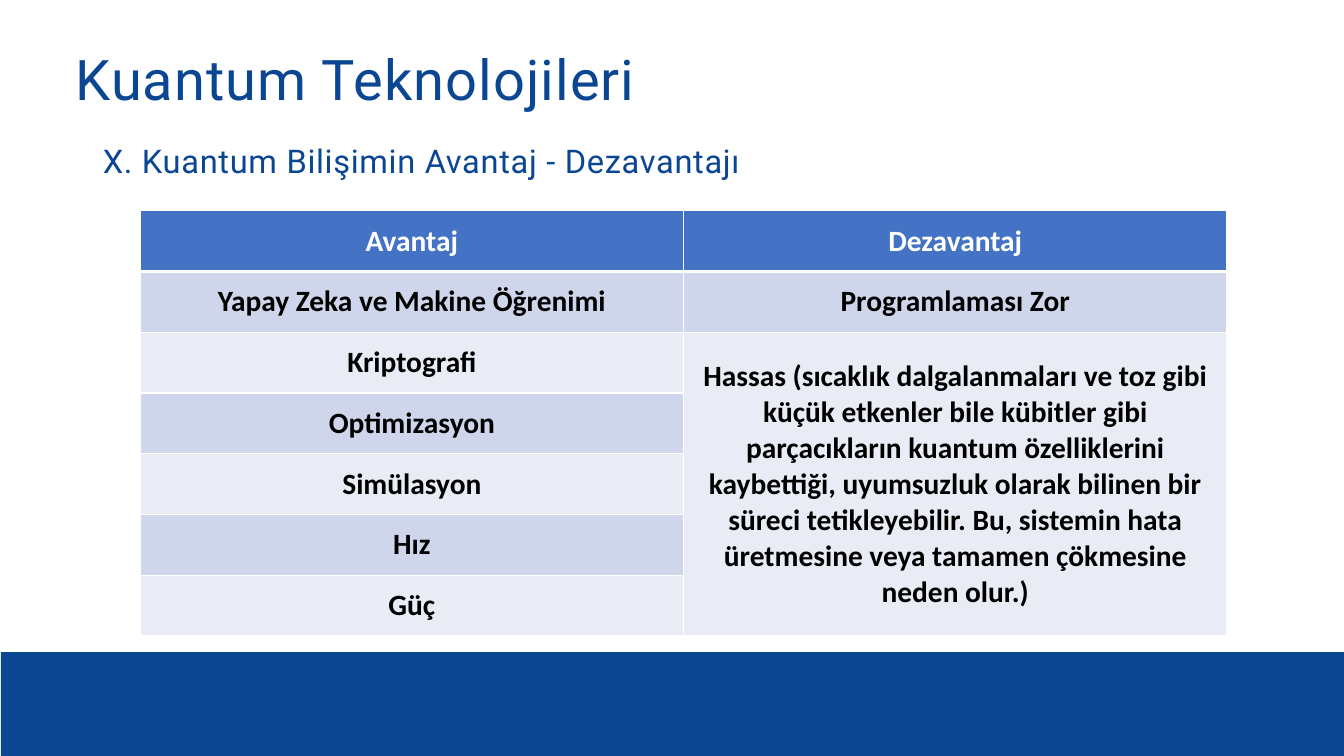
"""Builds the slide on the advantages and disadvantages of quantum computing."""
from lxml.etree import SubElement
from pptx import Presentation
from pptx.dml.color import RGBColor
from pptx.enum.shapes import MSO_SHAPE
from pptx.enum.text import MSO_ANCHOR, PP_ALIGN
from pptx.oxml import parse_xml
from pptx.oxml.ns import nsdecls, qn
from pptx.util import Inches, Pt

THEME = {
    "navy": RGBColor.from_string("0B4693"),
    "header": RGBColor.from_string("4472C4"),
    "bands": [RGBColor.from_string("E9EBF5"), RGBColor.from_string("CFD5EA")],
    "white": RGBColor.from_string("FFFFFF"),
    "black": RGBColor.from_string("000000"),
    "heading_font": "Roboto",
    "table_font": "Calibri",
    "title_size": Pt(40),
    "subtitle_size": Pt(23.3),
    "table_size": Pt(21),
}
ADVANTAGES = ["Avantaj", "Yapay Zeka ve Makine Öğrenimi", "Kriptografi",
              "Optimizasyon", "Simülasyon", "Hız", "Güç"]
DISADVANTAGES = [
    "Dezavantaj", "Programlaması Zor",
    "Hassas (sıcaklık dalgalanmaları ve toz gibi küçük etkenler bile kübitler "
    "gibi parçacıkların kuantum özelliklerini kaybettiği, uyumsuzluk olarak "
    "bilinen bir süreci tetikleyebilir. Bu, sistemin hata üretmesine veya "
    "tamamen çökmesine neden olur.)",
]


def style_font(font, name, size, color, bold=False):
    font.name, font.size, font.bold = name, size, bold
    font.color.rgb = color


def add_border(cell, edge, width):
    line = SubElement(cell._tc.get_or_add_tcPr(), qn(f"a:{edge}"), w=str(Pt(width)))
    line.append(parse_xml(f'<a:solidFill {nsdecls("a")}>'
                          f'<a:srgbClr val="{THEME["white"]}"/></a:solidFill>'))


prs = Presentation()
prs.slide_width, prs.slide_height = Inches(13.33), Inches(7.5)
W, H = prs.slide_width, prs.slide_height
slide = prs.slides.add_slide(prs.slide_layouts[6])

footer_top = Inches(6.47)
footer = slide.shapes.add_shape(MSO_SHAPE.RECTANGLE, Inches(0.01), footer_top, W, H - footer_top)
footer.shadow.inherit = False
footer.fill.solid()
footer.fill.fore_color.rgb = THEME["navy"]
footer.line.fill.background()

headings = [
    ("Kuantum Teknolojileri", (0.75, 0.28, 11.97, 0.77), THEME["title_size"], 60, 80),
    ("X. Kuantum Bilişimin Avantaj - Dezavantajı", (1.02, 1.3, 7.24, 0.45),
     THEME["subtitle_size"], 35, 50),
]
for wording, place, size, leading, tracking in headings:
    heading = slide.shapes.add_textbox(*map(Inches, place)).text_frame
    heading.word_wrap = True
    heading.margin_left = heading.margin_right = heading.margin_top = heading.margin_bottom = 0
    heading.text = wording
    line = heading.paragraphs[0]
    line.line_spacing = Pt(leading)
    style_font(line.runs[0].font, THEME["heading_font"], size, THEME["navy"])
    line.runs[0].font._element.set("spc", str(tracking))

row_count = len(ADVANTAGES)
comparison = slide.shapes.add_table(
    row_count, 2, Inches(1.39), Inches(2.09), Inches(10.78), Inches(4.22)).table
comparison.cell(2, 1).merge(comparison.cell(row_count - 1, 1))

for column, entries in enumerate([ADVANTAGES, DISADVANTAGES]):
    for row in range(row_count):
        cell = comparison.cell(row, column)
        is_header = row == 0
        for edge in ("lnL", "lnR", "lnT", "lnB"):
            add_border(cell, edge, 3 if is_header and edge == "lnB" else 1)
        cell.fill.solid()
        if cell.is_spanned:
            cell.fill.fore_color.rgb = THEME["bands"][0]
            continue
        cell.fill.fore_color.rgb = THEME["header"] if is_header else THEME["bands"][row % 2]
        cell.vertical_anchor = MSO_ANCHOR.MIDDLE
        cell.margin_left = cell.margin_right = Inches(0.07)
        cell.margin_top = cell.margin_bottom = Inches(0.03)
        cell.text = entries[row]
        entry = cell.text_frame.paragraphs[0]
        entry.alignment = PP_ALIGN.CENTER
        style_font(entry.runs[0].font, THEME["table_font"], THEME["table_size"],
                   THEME["white"] if is_header else THEME["black"], bold=True)

prs.save("out.pptx")
